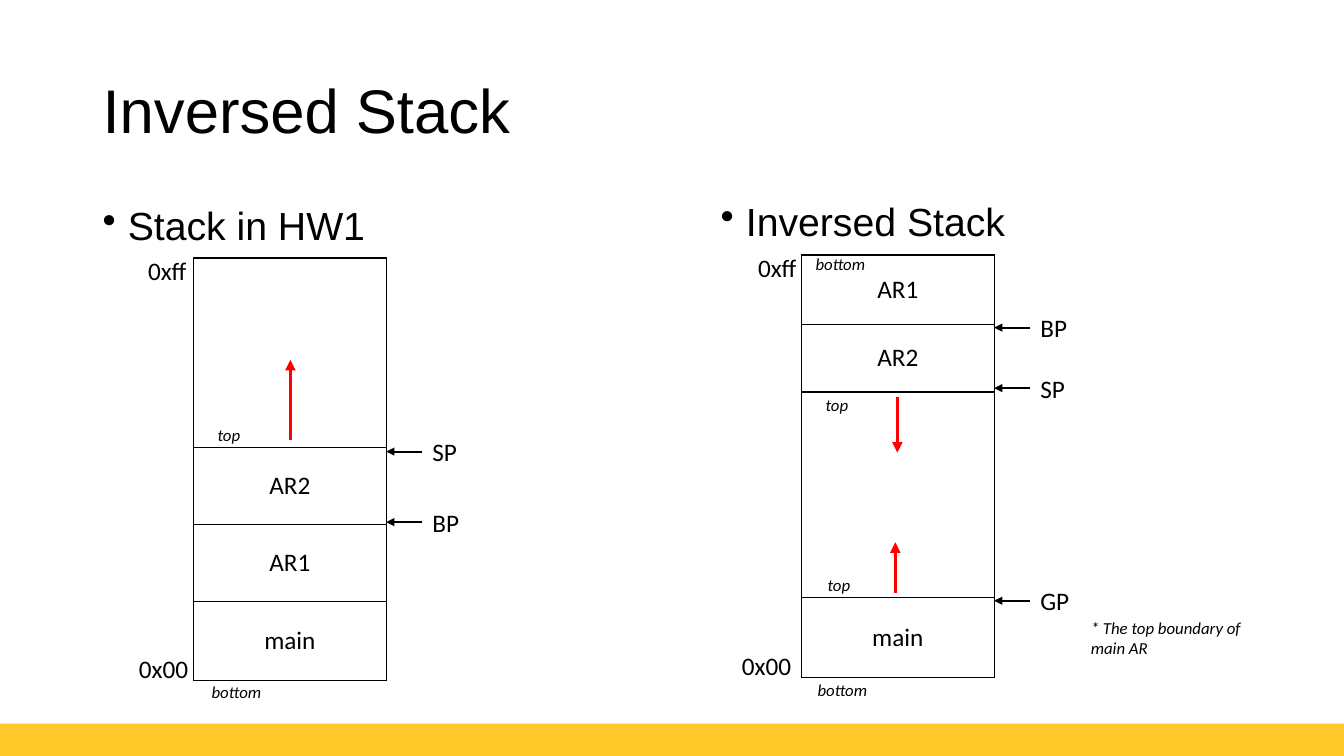
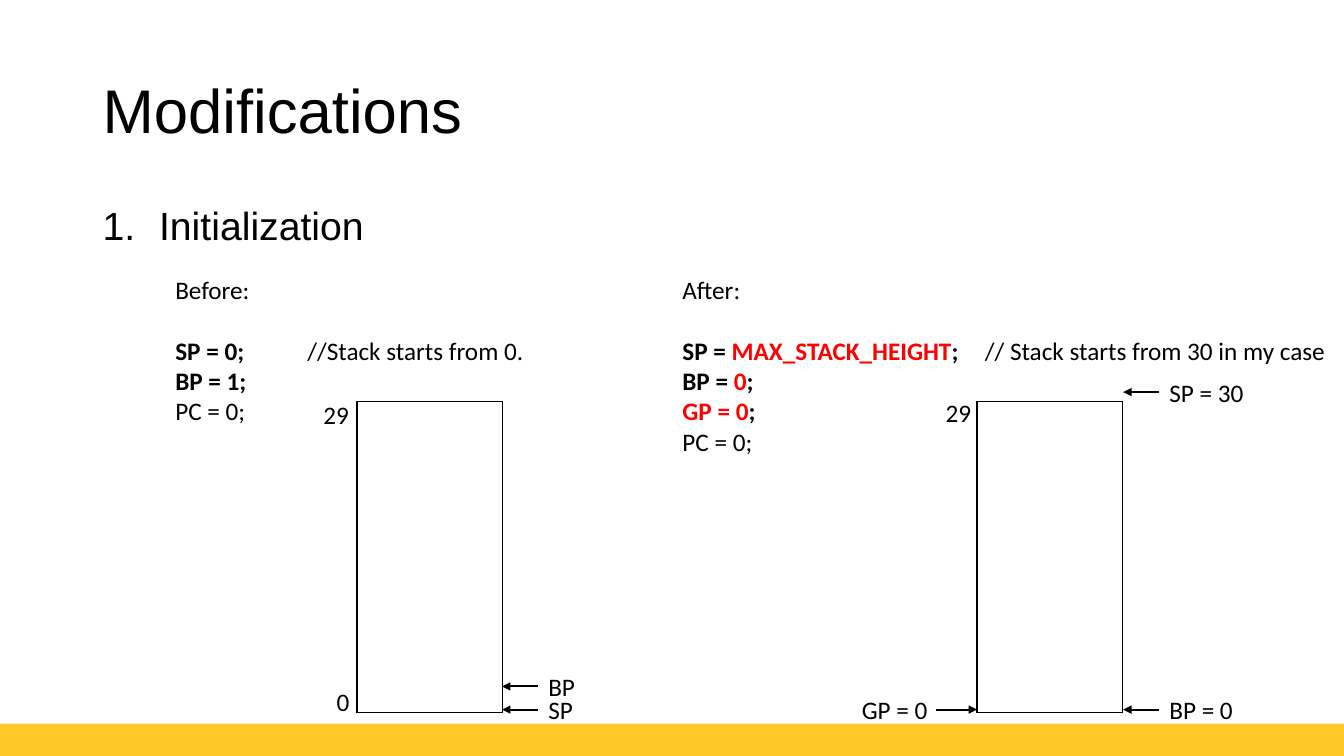
"""Build two slides on an inversed stack and its initialization."""
import pptx
import pptx.dml.color
import pptx.enum.shapes
import pptx.enum.text
import pptx.oxml.ns
import pptx.util
from lxml import etree

Inches = pptx.util.Inches
Pt = pptx.util.Pt
qn = pptx.oxml.ns.qn
colour = pptx.dml.color.RGBColor.from_string
BLACK, RED, YELLOW = "000000", "FF0000", "FFCA29"
HEADING, BODY = "Arial", "Calibri"
LABEL_HEIGHT, POINTER_LENGTH = 0.4, 0.36


def add_text(page, left, top, width, height, text, size=18, font=BODY, marker=None):
    box = page.shapes.add_textbox(Inches(left), Inches(top), Inches(width), Inches(height))
    frame = box.text_frame
    frame.word_wrap = True
    frame.margin_right = 0
    paragraph = frame.paragraphs[0]
    paragraph.text = text
    if marker:
        tag, key, value, indent = marker
        properties = paragraph._p.get_or_add_pPr()
        properties.set("marL", str(Inches(indent)))
        properties.set("indent", str(-Inches(indent)))
        etree.SubElement(properties, qn(tag)).set(key, value)
    if font == HEADING:
        paragraph.line_spacing = 0.9
    paragraph.font.size = Pt(size)
    paragraph.font.name = font
    paragraph.font.color.rgb = colour(BLACK)
    return box


def add_arrow(page, x1, y1, x2, y2, line_colour=BLACK, width=1.5):
    arrow = page.shapes.add_connector(
        pptx.enum.shapes.MSO_CONNECTOR.STRAIGHT, Inches(x1), Inches(y1), Inches(x2), Inches(y2))
    arrow.line.color.rgb = colour(line_colour)
    arrow.line.width = Pt(width)
    properties = arrow._element.spPr
    etree.SubElement(properties.find(qn("a:ln")), qn("a:tailEnd")).set("type", "triangle")
    etree.SubElement(properties, qn("a:effectLst"))
    return arrow


deck = pptx.Presentation()
deck.slide_width, deck.slide_height = Inches(13.33), Inches(7.5)

pages = []
for title in ("Inversed Stack", "Modifications"):
    page = deck.slides.add_slide(deck.slide_layouts[6])
    band = page.shapes.add_shape(
        pptx.enum.shapes.MSO_SHAPE.RECTANGLE, 0, Inches(7.18), deck.slide_width, Inches(0.32))
    band.shadow.inherit = False
    band.fill.solid()
    band.fill.fore_color.rgb = colour(YELLOW)
    band.line.fill.background()
    title_box = add_text(page, 0.92, 0.4, 11.5, 1.45, title, 44, HEADING)
    title_box.text_frame.vertical_anchor = pptx.enum.text.MSO_ANCHOR.MIDDLE
    pages.append(page)
stack_page, changes_page = pages

bullet = ("a:buChar", "char", "•", 0.25)
number = ("a:buAutoNum", "type", "arabicPeriod", 0.56)
for page, left, top, width, text, marker in (
    (stack_page, 0.92, 2, 3.69, "Stack in HW1", bullet),
    (stack_page, 7.05, 1.96, 3.69, "Inversed Stack", bullet),
    (changes_page, 0.92, 2, 11.5, "Initialization", number),
):
    add_text(page, left, top, width, 0.53, text, 28, HEADING, marker)

for page, left, top, width, rows in (
    (stack_page, 1.92, 2.56, 1.91, [("", 1.88), ("AR2", 0.76), ("AR1", 0.77), ("main", 0.78)]),
    (stack_page, 7.95, 2.53, 1.91, [("AR1", 0.69), ("AR2", 0.67), ("", 2.04), ("main", 0.79)]),
    (changes_page, 3.54, 3.98, 1.44, [("", 3.09)]),
    (changes_page, 9.69, 3.98, 1.44, [("", 3.09)]),
):
    total = sum(height for _, height in rows)
    table = page.shapes.add_table(
        len(rows), 1, Inches(left), Inches(top), Inches(width), Inches(total)).table
    table.first_row = table.horz_banding = False
    for index, (text, height) in enumerate(rows):
        table.rows[index].height = Inches(height)
        cell = table.cell(index, 0)
        cell.text = text
        cell.vertical_anchor = pptx.enum.text.MSO_ANCHOR.MIDDLE
        paragraph = cell.text_frame.paragraphs[0]
        paragraph.alignment = pptx.enum.text.PP_ALIGN.CENTER
        paragraph.font.size = Pt(18)
        paragraph.font.name = BODY
        paragraph.font.color.rgb = colour(BLACK)
        properties = cell._tc.get_or_add_tcPr()
        for side in ("a:lnL", "a:lnR", "a:lnT", "a:lnB"):
            border = etree.SubElement(properties, qn(side), w=str(Pt(1)))
            fill = etree.SubElement(border, qn("a:solidFill"))
            etree.SubElement(fill, qn("a:srgbClr"), val=BLACK)
        cell.fill.background()

for page, text, tip, middle, width in (
    (stack_page, "SP", 3.83, 4.48, 0.64),
    (stack_page, "BP", 3.83, 5.18, 0.64),
    (stack_page, "BP", 9.86, 3.25, 0.64),
    (stack_page, "SP", 9.86, 3.85, 0.64),
    (stack_page, "GP", 9.86, 5.96, 0.64),
    (changes_page, "BP", 4.98, 6.81, 0.64),
    (changes_page, "SP", 4.98, 7.04, 0.64),
    (changes_page, "BP = 0", 11.14, 7.04, 1.03),
    (changes_page, "SP = 30", 11.14, 3.89, 1.09),
):
    start = tip + POINTER_LENGTH
    label = add_text(page, start, middle - LABEL_HEIGHT / 2, width, LABEL_HEIGHT, text)
    add_arrow(page, start, middle, tip, middle).begin_connect(label, 1)

global_label = add_text(changes_page, 8.45, 6.84, 0.83, LABEL_HEIGHT, "GP = 0")
add_arrow(changes_page, 9.28, 7.04, 9.69, 7.04).begin_connect(global_label, 3)

for x, start, end in ((2.88, 4.37, 3.57), (8.9, 3.94, 4.49), (8.88, 5.88, 5.38)):
    add_arrow(stack_page, x, start, x, end, RED, 2.5)

for page, left, top, text in (
    (stack_page, 1.28, 6.43, "0x00"),
    (stack_page, 1.37, 2.48, "0xff"),
    (stack_page, 7.42, 2.45, "0xff"),
    (stack_page, 7.26, 6.4, "0x00"),
    (changes_page, 3.24, 6.76, "0"),
    (changes_page, 3.11, 3.91, "29"),
    (changes_page, 9.28, 3.89, "29"),
):
    add_text(page, left, top, 0.69, LABEL_HEIGHT, text)

for left, top, width, height, text in (
    (2.06, 4.16, 0.44, 0.3, "top"),
    (2, 6.71, 0.78, 0.3, "bottom"),
    (8.11, 5.65, 0.44, 0.3, "top"),
    (8.09, 3.87, 0.44, 0.3, "top"),
    (8.01, 6.69, 0.78, 0.3, "bottom"),
    (7.99, 2.47, 0.78, 0.3, "bottom"),
    (10.72, 6.08, 1.68, 0.5, "* The top boundary of main AR"),
):
    note = add_text(stack_page, left, top, width, height, text, 12)
    note.text_frame.paragraphs[0].font.italic = True

before_lines = [
    [("SP = 0;", True, BLACK), ("\t//Stack starts from 0.", False, BLACK)],
    [("BP = 1;", True, BLACK)],
    [("PC = 0;", False, BLACK)],
]
after_lines = [
    [("SP = ", True, BLACK), ("MAX_STACK_HEIGHT", True, RED), (";", True, BLACK),
     ("\t// Stack starts from 30 in my case", False, BLACK)],
    [("BP = ", True, BLACK), ("0", True, RED), (";", True, BLACK)],
    [("GP = 0", True, RED), (";", True, BLACK)],
    [("PC = 0;", False, BLACK)],
]
for left, width, height, heading, tab, lines in (
    (1.64, 4.49, 1.62, "Before:", 1.31, before_lines),
    (6.67, 6.66, 2.22, "After:", 3, after_lines),
):
    box = add_text(changes_page, left, 2.67, width, height, heading)
    for index, line in enumerate(lines):
        paragraph = box.text_frame.add_paragraph()
        if index == 0:
            paragraph.space_before = Pt(22)
            stops = etree.SubElement(paragraph._p.get_or_add_pPr(), qn("a:tabLst"))
            etree.SubElement(stops, qn("a:tab"), pos=str(Inches(tab)), algn="l")
        paragraph.font.size = Pt(18)
        paragraph.font.name = BODY
        for text, bold, text_colour in line:
            span = paragraph.add_run()
            span.text = text
            span.font.bold = bold
            span.font.color.rgb = colour(text_colour)

deck.save("out.pptx")
